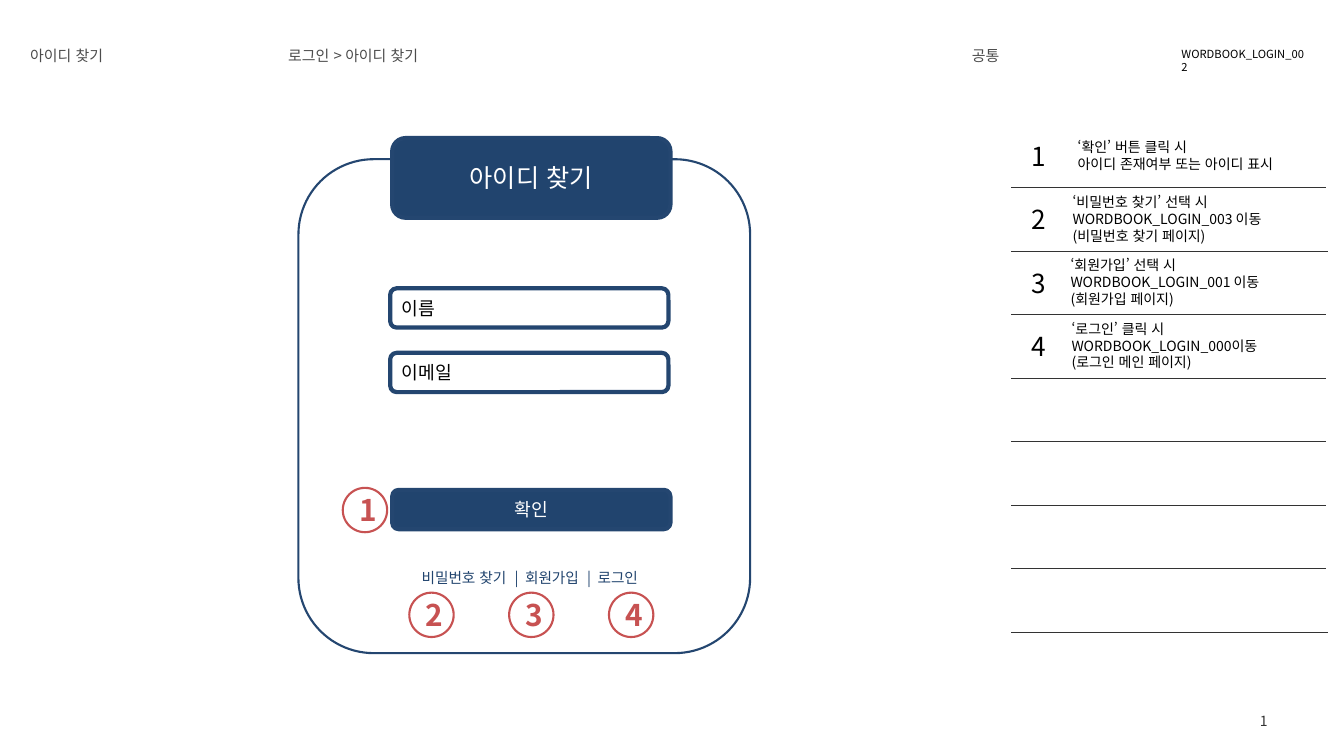
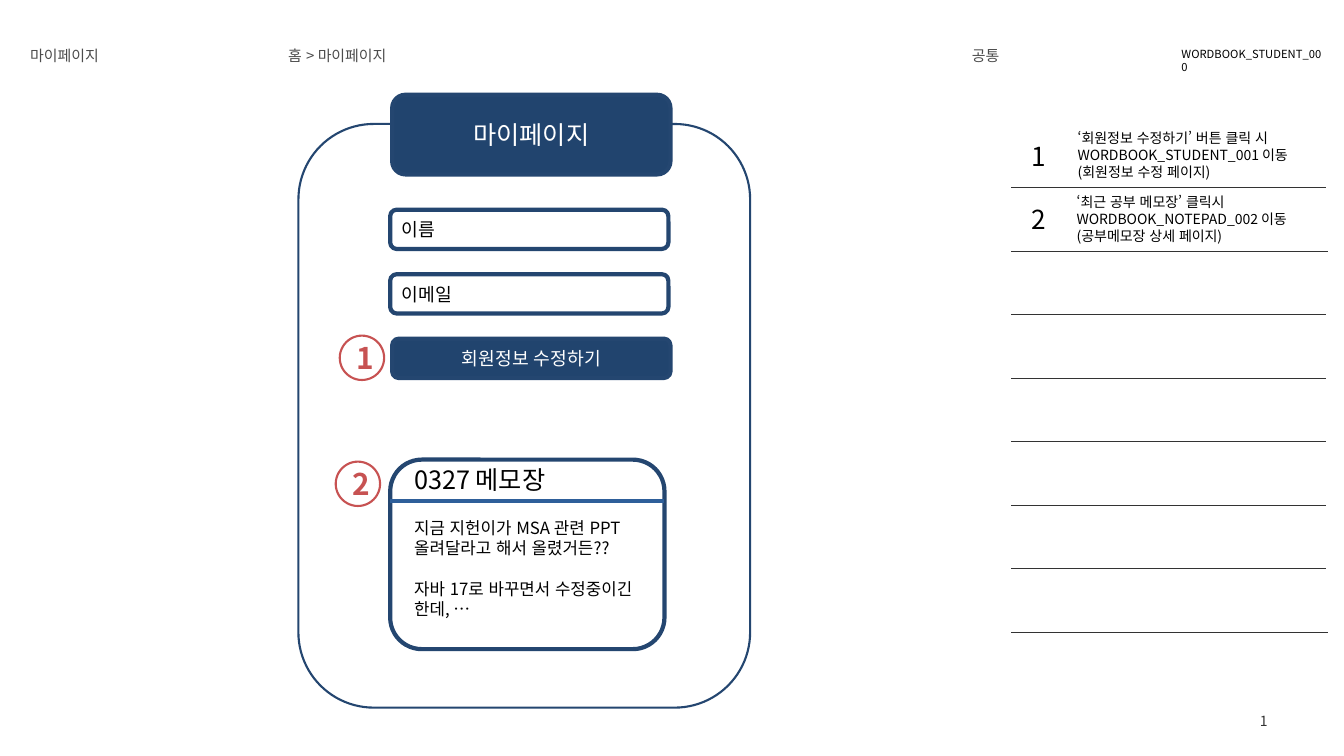
from lxml.etree import SubElement
from pptx import Presentation
from pptx.dml.color import RGBColor
from pptx.enum.lang import MSO_LANGUAGE_ID as Lang
from pptx.enum.shapes import MSO_CONNECTOR as Link, MSO_SHAPE as Kind
from pptx.enum.text import MSO_ANCHOR as Anchor, MSO_AUTO_SIZE as Auto, PP_ALIGN as Align
from pptx.oxml.ns import qn
from pptx.util import Inches, Pt


def color(code):
    return RGBColor.from_string(code)


class Board:
    """Wireframe pages that share one style, drawn on the current slide."""

    FONT = "Noto Sans CJK KR"
    NAVY, EDGE, BLUE = "21446E", "244670", "2E5F9A"
    RED, GRAY, DARK = "C75252", "4C4C4C", "333333"
    BLACK, WHITE = "000000", "FFFFFF"
    LEAD = 1.2
    PAD = (0.1, 0.05, 0.1, 0.05)
    TOP, STEP, ROWS = 1.23, 0.63, 8

    def __init__(self):
        self.deck = Presentation()
        self.deck.slide_width = Inches(13.33)
        self.deck.slide_height = Inches(7.5)
        self.host = None

    def letter(self, shape, text, size, ink=BLACK, align=Align.LEFT,
               anchor=Anchor.TOP, pad=PAD, bold=False, gap=0):
        frame = shape.text_frame
        frame.text = text
        frame.word_wrap = True
        frame.auto_size = Auto.NONE
        frame.vertical_anchor = anchor
        (frame.margin_left, frame.margin_top,
         frame.margin_right, frame.margin_bottom) = map(Inches, pad)
        for i, para in enumerate(frame.paragraphs):
            para.alignment = align
            para.line_spacing = Pt(size * self.LEAD)
            para.space_before = Pt(gap if i else 0)
            para.space_after = Pt(0)
            for run in para.runs:
                font = run.font
                font.name, font.size, font.bold = self.FONT, Pt(size), bold
                font.color.rgb = color(ink)
                font.language_id = Lang.KOREAN
                east = SubElement(run._r.get_or_add_rPr(), qn("a:ea"))
                east.set("typeface", self.FONT)

    def label(self, box, text, size, **style):
        shape = self.host.add_textbox(*map(Inches, box))
        self.letter(shape, text, size, **style)

    def line(self, x, y, end, ink=DARK, width=0.3):
        link = self.host.add_connector(
            Link.STRAIGHT, Inches(x), Inches(y), Inches(end), Inches(y))
        link.line.color.rgb = color(ink)
        link.line.width = Pt(width)
        SubElement(link._element.spPr, qn("a:effectLst"))

    def shape(self, box, kind=Kind.ROUNDED_RECTANGLE, fill=None, edge=EDGE, width=3):
        item = self.host.add_shape(kind, *map(Inches, box))
        item.shadow.inherit = False
        if fill:
            item.fill.solid()
            item.fill.fore_color.rgb = color(fill)
        else:
            item.fill.background()
        item.line.color.rgb = color(edge)
        item.line.width = Pt(width)
        return item

    def page(self, title, trail, code, width):
        slide = self.deck.slides.add_slide(self.deck.slide_layouts[5])
        self.host = slide.shapes
        head = self.host.title
        head.left, head.top, head.width, head.height = map(
            Inches, (0.2, 0.41, 2.51, 0.28))
        self.letter(head, title, 10.7, ink=self.GRAY)
        self.label((2.76, 0.41, 6.7, 0.28), trail, 10.7, ink=self.GRAY)
        self.label((9.54, 0.41, 2.06, 0.28), "공통", 10.7, ink=self.GRAY)
        self.label((11.62, 0.42, width, 0.24), code, 8)
        self.label((9.56, 6.95, 3.11, 0.4), "1", 10, ink=self.DARK,
                   align=Align.RIGHT, anchor=Anchor.MIDDLE)
        for row in range(1, self.ROWS + 1):
            end = 13.17 if row in (2, self.ROWS) else 13.15
            self.line(10.03, self.TOP + row * self.STEP, end)

    def notes(self, *items):
        for i, (x, text) in enumerate(items):
            top = self.TOP + i * self.STEP
            self.label((10.03, top, 0.54, self.STEP), str(i + 1), 18.7,
                       align=Align.CENTER, anchor=Anchor.MIDDLE,
                       pad=(0.13, 0.07, 0.13, 0.07))
            high = 0.1 + 0.17 * len(text.split("\n"))
            self.label((x, top + (self.STEP - high) / 2, 2.57, high), text, 10)

    def panel(self, top, high, head, text):
        self.shape((2.96, top, 4.48, high), width=1.5)
        self.button(head, text, high=0.79, size=18)

    def button(self, top, text, high=0.39, size=13):
        item = self.shape((3.89, top, 2.76, high), fill=self.NAVY)
        self.letter(item, text, size, ink=self.WHITE,
                    align=Align.CENTER, anchor=Anchor.MIDDLE)

    def fields(self, top, *names):
        for i, name in enumerate(names):
            item = self.shape((3.87, top + i * 0.64, 2.76, 0.39))
            self.letter(item, name, 13, anchor=Anchor.MIDDLE)

    def badges(self, *spots):
        for i, (x, y) in enumerate(spots):
            item = self.shape((x, y, 0.44, 0.44), Kind.OVAL, edge=self.RED, width=1.5)
            self.letter(item, str(i + 1), 21.3, ink=self.RED, bold=True,
                        align=Align.CENTER, anchor=Anchor.MIDDLE,
                        pad=(0.1, 0.09, 0.07, 0.1))

    def memo(self, title, text):
        outer = self.host
        self.host = outer.add_group_shape().shapes
        self.shape((3.87, 4.56, 2.72, 1.88))
        self.line(3.87, 4.97, 6.59, ink=self.BLUE, width=3)
        self.label((4.01, 4.56, 2.46, 0.4), title, 18)
        self.label((4.01, 5.09, 2.46, 1.11), text, 12, gap=12 * self.LEAD)
        self.host = outer


def main():
    board = Board()

    board.page("아이디 찾기", "로그인 > 아이디 찾기", "WORDBOOK_LOGIN_002", 1.46)
    board.notes(
        (10.59, "‘확인’ 버튼 클릭 시\n아이디 존재여부 또는 아이디 표시"),
        (10.54, "‘비밀번호 찾기’ 선택 시\nWORDBOOK_LOGIN_003 이동\n(비밀번호 찾기 페이지)"),
        (10.52, "‘회원가입’ 선택 시\nWORDBOOK_LOGIN_001 이동\n(회원가입 페이지)"),
        (10.53, "‘로그인’ 클릭 시\nWORDBOOK_LOGIN_000이동\n(로그인 메인 페이지)"))
    board.panel(1.58, 4.9, 1.37, "아이디 찾기")
    board.fields(2.86, "이름", "이메일")
    board.button(4.86, "확인")
    board.label((3.81, 5.59, 2.89, 0.29), "비밀번호 찾기  |  회원가입  |  로그인",
                10.5, ink=board.NAVY, align=Align.CENTER)
    board.badges((3.4, 4.84), *((4.06 + i * 0.99, 5.88) for i in range(3)))

    board.page("마이페이지", "홈 > 마이페이지", "WORDBOOK_STUDENT_000", 1.64)
    board.notes(
        (10.59, "‘회원정보 수정하기’ 버튼 클릭 시\nWORDBOOK_STUDENT_001 이동\n(회원정보 수정 페이지)"),
        (10.58, "‘최근 공부 메모장’ 클릭시\nWORDBOOK_NOTEPAD_002 이동\n(공부메모장 상세 페이지)"))
    board.panel(1.23, 5.79, 0.94, "마이페이지")
    board.fields(2.08, "이름", "이메일")
    board.button(3.36, "회원정보 수정하기")
    board.memo("0327 메모장",
               "지금 지헌이가 MSA 관련 PPT 올려달라고 해서 올렸거든??\n"
               "자바 17로 바꾸면서 수정중이긴 한데, …")
    board.badges((3.37, 3.33), (3.33, 4.58))

    board.deck.save("out.pptx")


if __name__ == "__main__":
    main()
